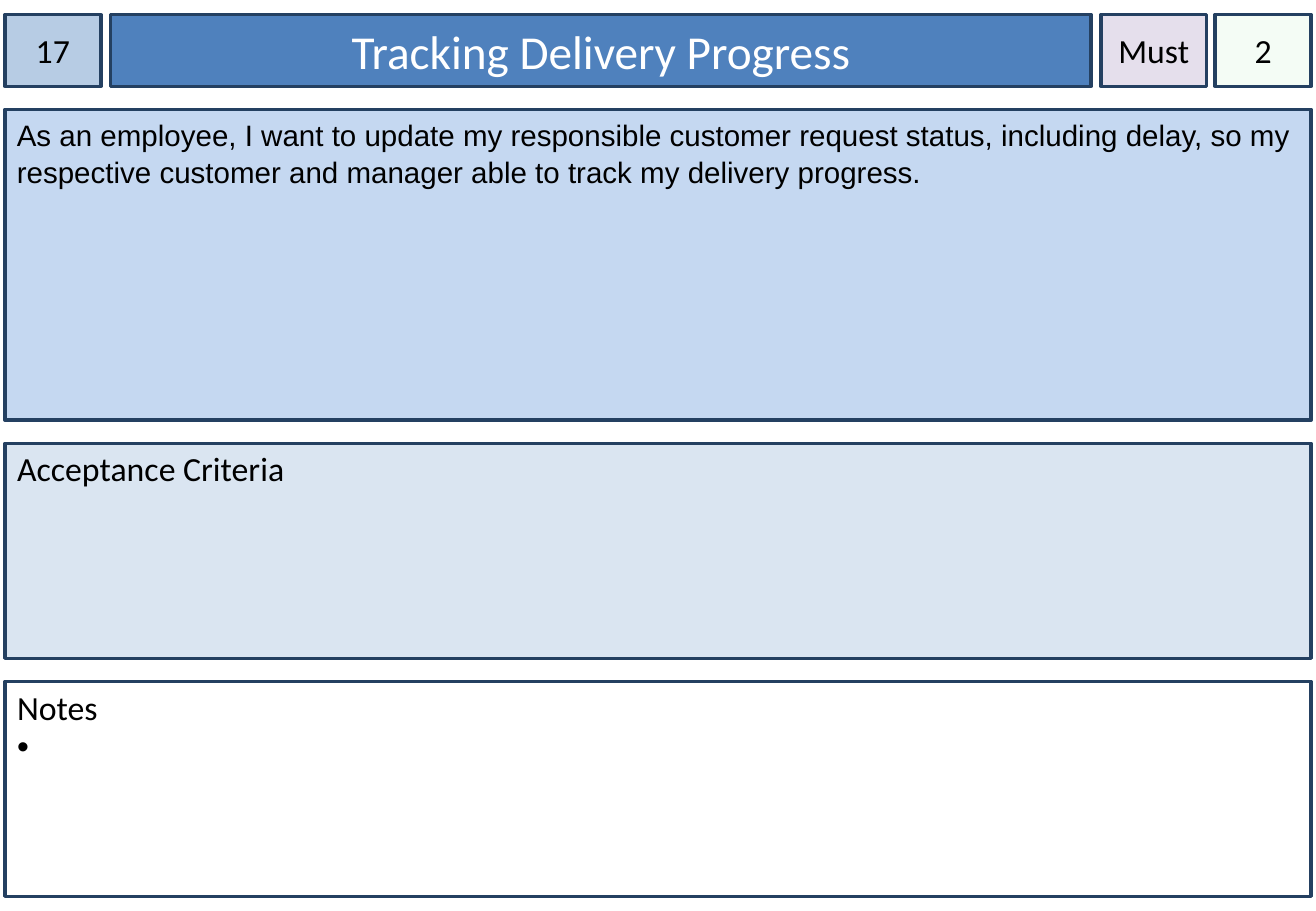
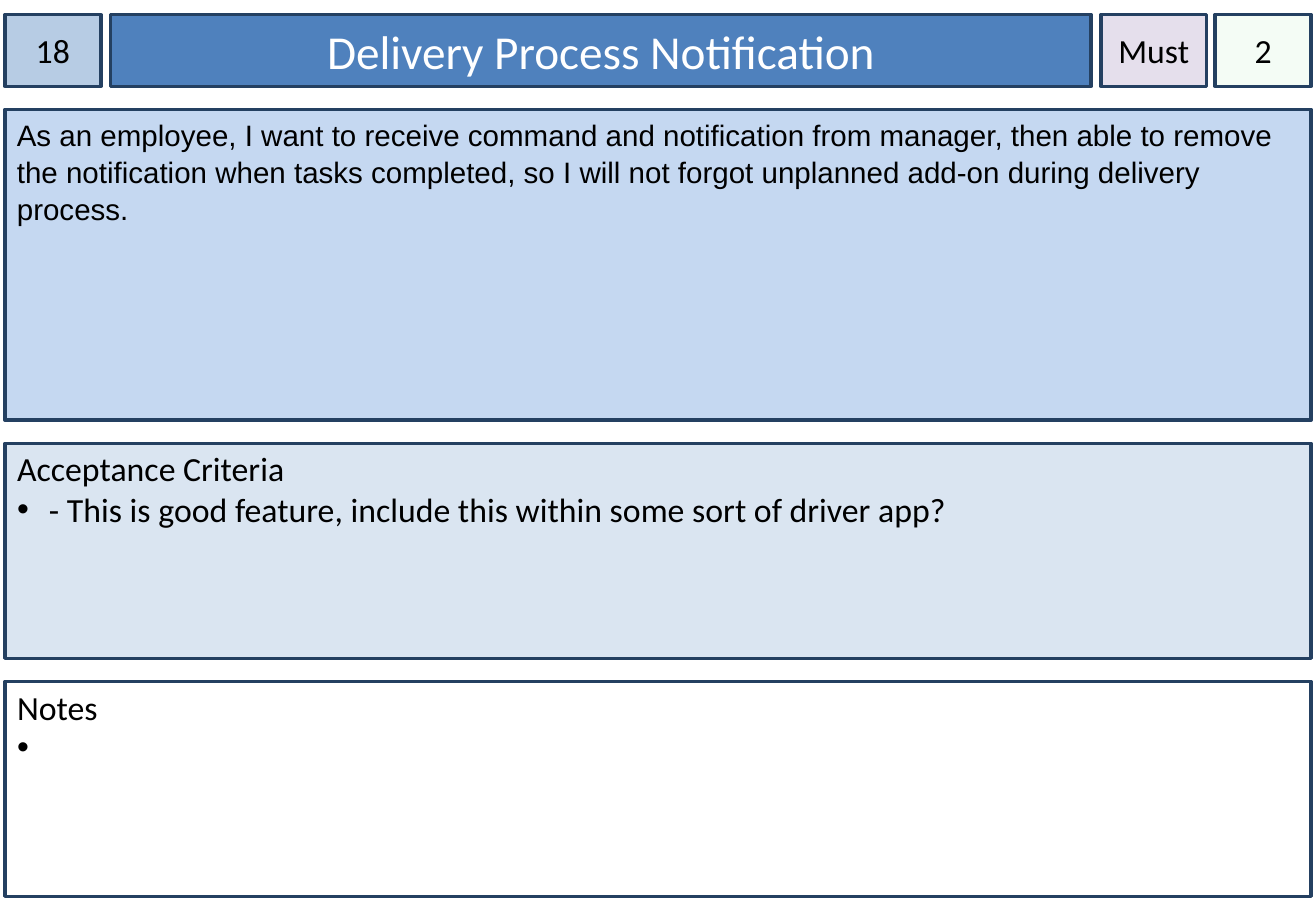
from lxml import etree
from pptx import Presentation
from pptx.dml.color import RGBColor
from pptx.enum.shapes import MSO_SHAPE
from pptx.enum.text import MSO_ANCHOR, MSO_AUTO_SIZE, PP_ALIGN
from pptx.oxml.ns import qn
from pptx.util import Inches, Pt

RECTANGLE = MSO_SHAPE.RECTANGLE
TOP, MIDDLE = MSO_ANCHOR.TOP, MSO_ANCHOR.MIDDLE
LEFT, CENTER = PP_ALIGN.LEFT, PP_ALIGN.CENTER
NO_AUTOFIT = MSO_AUTO_SIZE.NONE

COLORS = {
    "border": "244061", "text": "000000", "title_text": "FFFFFF",
    "number": "B7CCE4", "title": "4F81BD", "priority": "E5DFEC",
    "points": "CCF0CD", "story": "C5D8F1", "criteria": "DAE5F1",
    "notes": "FFFFFF",
}

# Card grid: left, top, width, height in inches
BAR_TOP, BAR_HEIGHT = 0.12, 0.59
PANEL_LEFT, PANEL_WIDTH = 0.04, 10.75
BOXES = {
    "number": (PANEL_LEFT, BAR_TOP, 0.79, BAR_HEIGHT),
    "title": (0.91, BAR_TOP, 8.07, BAR_HEIGHT),
    "priority": (9.06, BAR_TOP, 0.87, BAR_HEIGHT),
    "points": (10, BAR_TOP, 0.79, BAR_HEIGHT),
}
panel_top = 0.9
for panel, height in (("story", 2.56), ("criteria", 1.77), ("notes", 1.77)):
    BOXES[panel] = (PANEL_LEFT, panel_top, PANEL_WIDTH, height)
    panel_top += height + 0.19

CARDS = [
    {
        "number": "17",
        "title": "Tracking Delivery Progress",
        "story": "As an employee, I want to update my responsible customer "
                 "request status, including delay, so my respective customer "
                 "and manager able to track my delivery progress.",
        "criteria": [],
    },
    {
        "number": "18",
        "title": "Delivery Process Notification",
        "story": "As an employee, I want to receive command and notification "
                 "from manager, then able to remove the notification when "
                 "tasks completed, so I will not forgot unplanned add-on "
                 "during delivery process.",
        "criteria": [" - This is good feature, include this within some sort "
                     "of driver app?"],
    },
]


def format_box(shape, name, text, bullets=(), size=20, font="Calibri",
               color="text", align=LEFT, anchor=TOP, side=0.1, inset_top=0.05,
               line_spacing=1.0):
    """Place a named box and write its heading and bullets."""
    shape.left, shape.top, shape.width, shape.height = map(Inches, BOXES[name])
    shape.fill.solid()
    shape.fill.fore_color.rgb = RGBColor.from_string(COLORS[name])
    shape.line.color.rgb = RGBColor.from_string(COLORS["border"])
    shape.line.width = Pt(2)

    frame = shape.text_frame
    frame.word_wrap = True
    frame.auto_size = NO_AUTOFIT
    frame.vertical_anchor = anchor
    frame.margin_left = frame.margin_right = Inches(side)
    frame.margin_top, frame.margin_bottom = Inches(inset_top), Inches(0.05)

    for index, line in enumerate([text, *bullets]):
        paragraph = frame.add_paragraph() if index else frame.paragraphs[0]
        paragraph.alignment = align
        paragraph.line_spacing = line_spacing
        paragraph.space_before = paragraph.space_after = Pt(0)
        run = paragraph.add_run()
        run.text = line
        run.font.size = Pt(size)
        run.font.name = font
        run.font.color.rgb = RGBColor.from_string(COLORS[color])
        # Only the lines after the heading carry a bullet
        indent = Inches(0.2) if index else 0
        properties = paragraph._p.get_or_add_pPr()
        properties.set("marL", str(indent))
        properties.set("indent", str(-indent))
        if index:
            etree.SubElement(properties, qn("a:buChar")).set("char", "•")
        else:
            etree.SubElement(properties, qn("a:buNone"))


presentation = Presentation()
presentation.slide_width = Inches(10.83)
presentation.slide_height = Inches(7.5)
two_content_layout = presentation.slide_layouts[3]

for card in CARDS:
    slide = presentation.slides.add_slide(two_content_layout)

    # Title and list panels
    title, criteria, notes = slide.placeholders
    format_box(title, "title", card["title"], size=28, color="title_text",
               align=CENTER, anchor=MIDDLE)
    format_box(criteria, "criteria", "Acceptance Criteria", card["criteria"],
               inset_top=0.04)
    format_box(notes, "notes", "Notes", [" "], inset_top=0.04)

    # User story
    story = slide.shapes.add_shape(RECTANGLE, 0, 0, 0, 0)
    story.shadow.inherit = False
    format_box(story, "story", card["story"], size=17.5, font="Arial",
               line_spacing=1.05)

    # Number, priority and points
    labels = {"number": card["number"], "priority": "Must", "points": "2"}
    for name, label in labels.items():
        shape = slide.shapes.add_shape(RECTANGLE, 0, 0, 0, 0)
        shape.shadow.inherit = False
        format_box(shape, name, label, align=CENTER, anchor=MIDDLE, side=0)
        if name == "points":
            fill_color = shape._element.spPr.find(
                qn("a:solidFill") + "/" + qn("a:srgbClr"))
            etree.SubElement(fill_color, qn("a:alpha")).set("val", "20000")

presentation.save("out.pptx")
